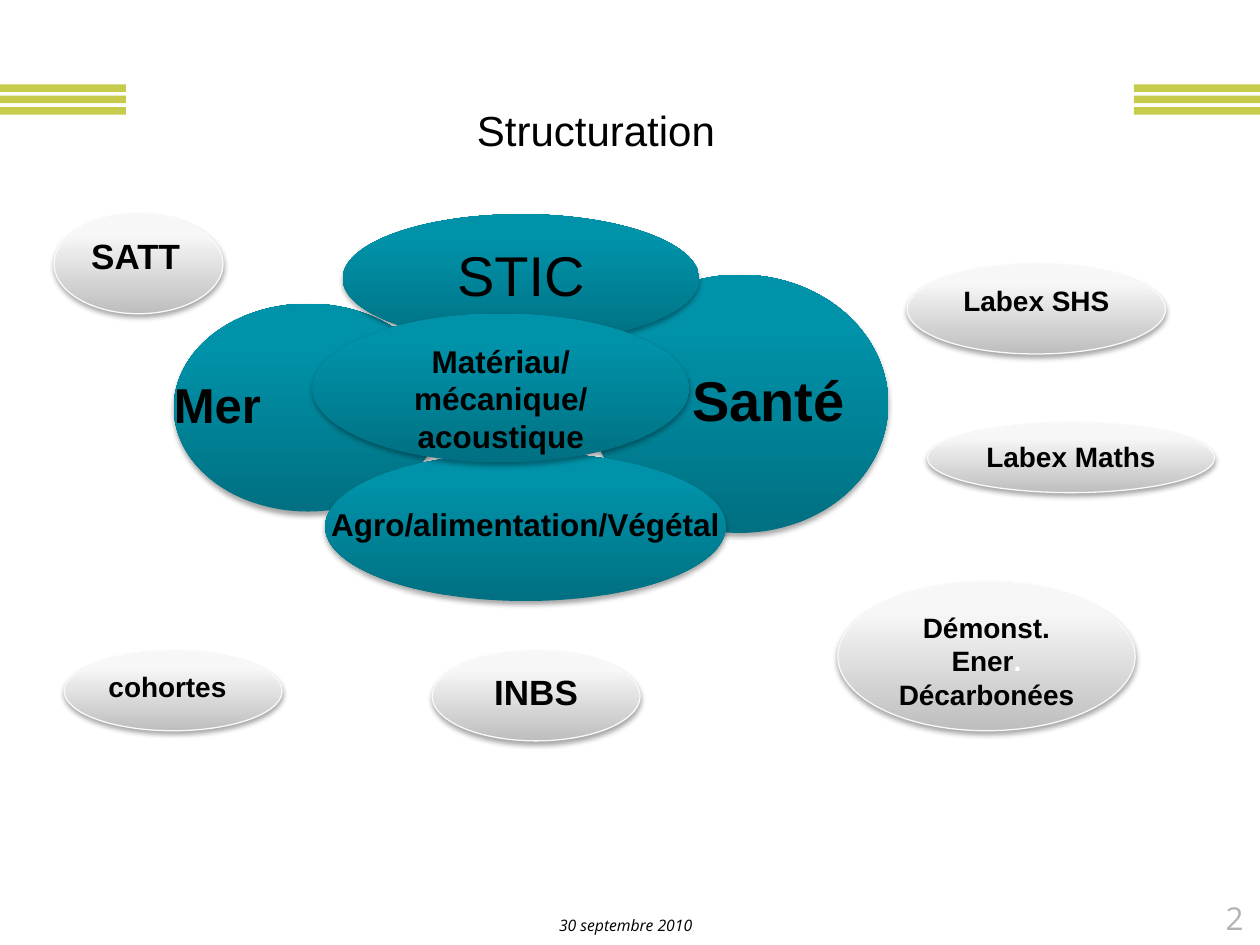
from lxml import etree
from pptx import Presentation
from pptx.dml.color import RGBColor
from pptx.enum.shapes import MSO_SHAPE
from pptx.enum.text import MSO_ANCHOR, PP_ALIGN
from pptx.oxml import parse_xml
from pptx.oxml.ns import nsdecls, qn
from pptx.util import Inches, Pt

BLACK = RGBColor(0x00, 0x00, 0x00)
WHITE = RGBColor(0xFF, 0xFF, 0xFF)
GREY = RGBColor(0xB3, 0xB3, 0xB3)
LIME = RGBColor(0xC6, 0xCB, 0x4C)
RIM = RGBColor(0xF9, 0xF9, 0xF9)
TEAL = (RGBColor(0x00, 0x70, 0x82), RGBColor(0x00, 0x92, 0xA9))
SILVER = (RGBColor(0xBE, 0xBE, 0xBE), RGBColor(0xF7, 0xF7, 0xF7))
LEFT, CENTER, RIGHT = PP_ALIGN.LEFT, PP_ALIGN.CENTER, PP_ALIGN.RIGHT
TOP, MIDDLE = MSO_ANCHOR.TOP, MSO_ANCHOR.MIDDLE
SHADOW = (
    f'<a:outerShdw {nsdecls("a")} blurRad="39370" dist="22860" dir="5400000" rotWithShape="0">'
    '<a:srgbClr val="000000"><a:alpha val="35000"/></a:srgbClr></a:outerShdw>'
)


def write(sp, runs, size, align=CENTER, anchor=TOP, inset=None, spacing=None,
          name="Arial", bold=False, italic=False):
    tf = sp.text_frame
    tf.word_wrap = True
    tf.vertical_anchor = anchor
    if inset is not None:
        for side in ("left", "top", "right", "bottom"):
            setattr(tf, f"margin_{side}", Inches(inset))
    p = tf.paragraphs[0]
    p.alignment = align
    p.line_spacing = spacing
    for words, color in runs:
        r = p.add_run()
        r.text = words
        for key, value in dict(name=name, size=Pt(size), bold=bold, italic=italic).items():
            setattr(r.font, key, value)
        r.font.color.rgb = color


def add_ellipse(box, colors):
    sp = s.shapes.add_shape(MSO_SHAPE.OVAL, *map(Inches, box))
    sp.fill.gradient()
    sp.fill.gradient_angle = 90
    for stop, position, color in zip(sp.fill.gradient_stops, (0, 0.8), colors):
        stop.position = position
        stop.color.rgb = color
    if colors is SILVER:
        sp.line.color.rgb = RIM
        sp.line.width = Pt(0.75)
    else:
        sp.line.fill.background()
    sp.shadow.inherit = False
    sp._element.spPr.find(qn("a:effectLst")).append(parse_xml(SHADOW))
    return sp


prs = Presentation()
prs.slide_width, prs.slide_height = Inches(10), Inches(7.5)
s = prs.slides.add_slide(prs.slide_layouts[5])

title = s.shapes.title
title.left, title.top, title.width, title.height = map(Inches, (2.97, 0.78, 3.52, 0.5))
write(title, [("Structuration", BLACK)], 24)

for x in (9, 0):
    for row in range(3):
        stripe = s.shapes.add_shape(
            MSO_SHAPE.RECTANGLE, Inches(x), Inches(0.67 + 0.09 * row), Inches(1), Inches(0.06))
        stripe.fill.solid()
        stripe.fill.fore_color.rgb = LIME
        stripe.line.fill.background()
        stripe.shadow.inherit = False

sante = add_ellipse((4.69, 2.18, 2.36, 2.05), TEAL)
write(sante, [("Santé", BLACK)], 32, RIGHT, MIDDLE, 0, 0.9, bold=True)

footers = [
    ((2.09, 7.19, 5.75, 0.31), "30 septembre 2010", 9, CENTER, BLACK, True),
    ((9.08, 7.13, 0.79, 0.31), "2", 18, RIGHT, GREY, False),
]
for box, words, size, align, color, italic in footers:
    sp = s.shapes.add_textbox(*map(Inches, box))
    write(sp, [(words, color)], size, align, MIDDLE, 0, name="Open Sans", italic=italic)

themes = [
    ((1.38, 2.41, 2.13, 1.65), "Mer", 28, LEFT, True),
    ((2.72, 1.7, 2.83, 1.02), "STIC", 32, CENTER, False),
    ((2.58, 3.59, 3.18, 1.18), "Agro/alimentation/Végétal", 18, CENTER, True),
]
for box, words, size, align, bold in themes:
    add_ellipse(box, TEAL)
    label = s.shapes.add_textbox(*map(Inches, box))
    write(label, [(words, BLACK)], size, align, MIDDLE, 0, 0.9, bold=bold)

energy = [("Démonst. Ener", BLACK), (". ", WHITE), ("Décarbonées", BLACK)]
projects = [
    ((7.36, 3.36, 2.28, 0.55), [("Labex Maths", BLACK)], 16, CENTER, SILVER),
    ((6.65, 4.62, 2.36, 1.18), energy, 16, CENTER, SILVER),
    ((7.2, 2.1, 2.05, 0.71), [("Labex SHS", BLACK)], 16, CENTER, SILVER),
    ((0.51, 5.17, 1.73, 0.63), [("cohortes", BLACK)], 16, LEFT, SILVER),
    ((0.43, 1.7, 1.34, 0.79), [("SATT", BLACK)], 20, LEFT, SILVER),
    ((3.43, 5.17, 1.65, 0.71), [("INBS", BLACK)], 20, CENTER, SILVER),
    ((2.48, 2.49, 2.99, 1.18), [("Matériau/mécanique/acoustique", BLACK)], 18, CENTER, TEAL),
]
for box, runs, size, align, colors in projects:
    write(add_ellipse(box, colors), runs, size, align, bold=True)

prs.save("out.pptx")
